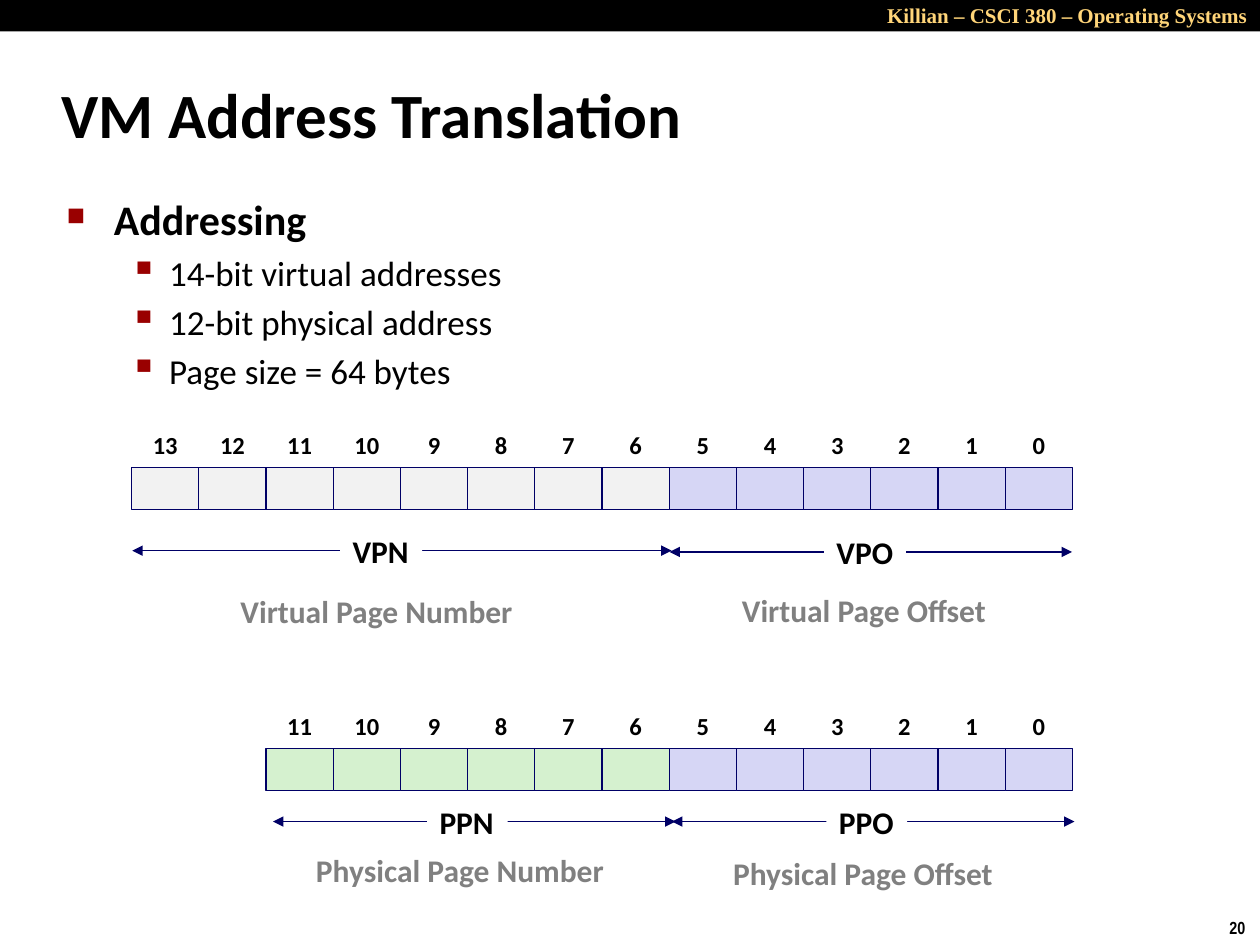
import pptx
import pptx.util
import pptx.dml.color
import pptx.enum.shapes
import pptx.enum.text
import pptx.oxml
import pptx.oxml.ns
import lxml.etree

Pt = pptx.util.Pt
ALIGN = pptx.enum.text.PP_ALIGN
ANCHOR = pptx.enum.text.MSO_ANCHOR
RECTANGLE = pptx.enum.shapes.MSO_SHAPE.RECTANGLE

COLORS = {
    "black": "000000", "white": "FFFFFF", "gold": "FFD579", "bullet": "990000",
    "line": "000066", "gray": "808080", "virtual": "F2F2F2",
    "physical": "D5F1CF", "offset": "D6D6F5",
}
TITLE = "VM Address Translation"
HEADER = "Killian – CSCI 380 – Operating Systems"
PAGE_NUMBER = "20"
BULLETS = [
    (0, "Addressing"),
    (1, "14-bit virtual addresses"),
    (1, "12-bit physical address"),
    (1, "Page size = 64 bytes"),
]
BULLET_LEVELS = [
    {"size": 24, "bold": True, "margin": 27, "indent": -27, "before": 4.8, "char": "■", "percent": 60},
    {"size": 20, "bold": False, "margin": 58.5, "indent": -22.5, "before": 4, "char": "▪", "percent": 110},
]
OFFSET_BITS = 6
ADDRESSES = [
    {"bits": 14, "top": 267.2, "fill": "virtual"},
    {"bits": 12, "top": 427.8, "fill": "physical"},
]
SPANS = [
    ("VPO", 382.6, 612.6, 315.4, 470.9, 46.8),
    ("PPO", 384, 614, 469.5, 472.3, 46.1),
    ("PPN", 156, 386, 469.5, 244.1, 46.1),
    ("VPN", 75.6, 383.8, 314.7, 194.4, 46.8),
]
CAPTIONS = [
    ("Virtual Page Number", 130.3, 337.7, 171.4),
    ("Virtual Page Offset", 416.9, 337, 155.5),
    ("Physical Page Number", 173.5, 485.3, 180),
    ("Physical Page Offset", 411.8, 487.4, 164.9),
]
ROW_RIGHT, CELL_WIDTH, CELL_HEIGHT = 612.8, 38.4, 24
LABEL_HEIGHT = 25.9

deck = pptx.Presentation()
deck.slide_width, deck.slide_height = Pt(720), Pt(540)
page = deck.slides.add_slide(deck.slide_layouts[5])


def color(name):
    return pptx.dml.color.RGBColor.from_string(COLORS[name])


def style(para, size, name="black", bold=True, family="Calibri"):
    para.font.size = Pt(size)
    para.font.bold = bold
    para.font.name = family
    para.font.color.rgb = color(name)


def add_rectangle(left, top, width, height, fill, outline=None):
    shape = page.shapes.add_shape(RECTANGLE, Pt(left), Pt(top), Pt(width), Pt(height))
    shape.shadow.inherit = False
    shape.fill.solid()
    shape.fill.fore_color.rgb = color(fill)
    if outline:
        shape.line.color.rgb = color(outline)
        shape.line.width = Pt(0.74)
    else:
        shape.line.fill.background()
    return shape


def add_text_box(left, top, width, height):
    return page.shapes.add_textbox(Pt(left), Pt(top), Pt(width), Pt(height))


def write(shape, text, size, name="black", align=ALIGN.LEFT, anchor=ANCHOR.TOP,
          family="Calibri", wrap=False, spacing=None, before=None):
    frame = shape.text_frame
    frame.word_wrap = wrap
    frame.vertical_anchor = anchor
    frame.text = text
    para = frame.paragraphs[0]
    para.alignment = align
    para.line_spacing = spacing
    para.space_before = None if before is None else Pt(before)
    style(para, size, name, family=family)


def write_label(shape, text, name="black"):
    write(shape, text, 18, name, spacing=0.88, before=6.8)


def add_bullet(para, level):
    properties = para._p.get_or_add_pPr()
    properties.set("marL", str(Pt(level["margin"])))
    properties.set("indent", str(Pt(level["indent"])))
    tag = pptx.oxml.ns.qn
    bullet_color = lxml.etree.SubElement(properties, tag("a:buClr"))
    lxml.etree.SubElement(bullet_color, tag("a:srgbClr"), val=COLORS["bullet"])
    lxml.etree.SubElement(properties, tag("a:buSzPct"), val=str(level["percent"] * 1000))
    lxml.etree.SubElement(properties, tag("a:buChar"), char=level["char"])


def add_arrow(start, end, height):
    arrow = page.shapes.add_connector(
        pptx.enum.shapes.MSO_CONNECTOR.STRAIGHT, Pt(start), Pt(height), Pt(end), Pt(height))
    arrow.line.color.rgb = color("line")
    arrow.line.width = Pt(0.74)
    tag = pptx.oxml.ns.qn
    for side in ("a:headEnd", "a:tailEnd"):
        lxml.etree.SubElement(arrow.line._get_or_add_ln(), tag(side), type="triangle")
    lxml.etree.SubElement(arrow._element.spPr, tag("a:effectLst"))


add_rectangle(0, 0, 720, 18, "black")
write(add_text_box(473.8, -2.2, 246.2, 21.6), HEADER, 12, "gold", ALIGN.RIGHT,
      family="Times New Roman", wrap=True)
write(add_text_box(695.5, 520.6, 24.5, 19.4), PAGE_NUMBER, 10, family="Arial Narrow")

title = page.shapes.title
title.left, title.top, title.width, title.height = Pt(28), Pt(34.6), Pt(597.6), Pt(59.8)
write(title, TITLE, 36, anchor=ANCHOR.MIDDLE, wrap=True)
title.text_frame.auto_size = pptx.enum.text.MSO_AUTO_SIZE.NONE

body = add_text_box(31, 107.3, 622, 391.7).text_frame
body.word_wrap = True
for index, (depth, text) in enumerate(BULLETS):
    level = BULLET_LEVELS[depth]
    para = body.add_paragraph() if index else body.paragraphs[0]
    para.text = text
    para.level = depth
    para.space_before = Pt(level["before"])
    add_bullet(para, level)
    style(para, level["size"], bold=level["bold"])

for address in ADDRESSES:
    for bit in reversed(range(address["bits"])):
        left = ROW_RIGHT - (bit + 1) * CELL_WIDTH
        fill = "offset" if bit < OFFSET_BITS else address["fill"]
        add_rectangle(left, address["top"], CELL_WIDTH, CELL_HEIGHT, fill, "line")
        number = add_text_box(left, address["top"] - CELL_HEIGHT, CELL_WIDTH, CELL_HEIGHT)
        write(number, str(bit), 14, align=ALIGN.CENTER, anchor=ANCHOR.MIDDLE,
              spacing=0.88, before=5.2)

for text, start, end, height, left, width in SPANS:
    add_arrow(start, end, height)
    label = add_rectangle(left, height - 11.5, width, LABEL_HEIGHT, "white")
    write_label(label, text)

for text, left, top, width in CAPTIONS:
    write_label(add_text_box(left, top, width, LABEL_HEIGHT), text, "gray")

deck.save("out.pptx")
